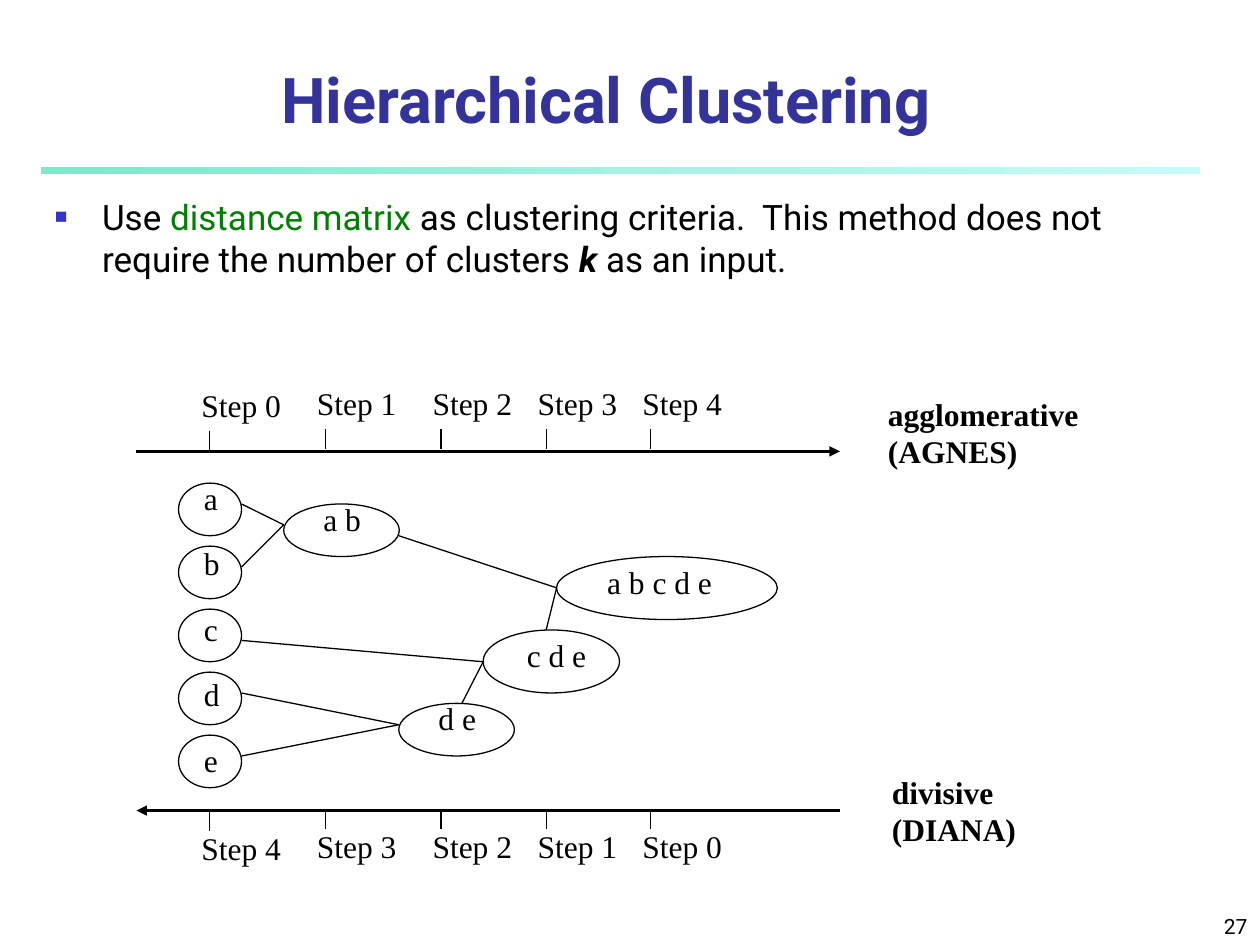
from dataclasses import dataclass
from typing import Any, NamedTuple

from lxml.etree import SubElement
from pptx import Presentation
from pptx.dml.color import RGBColor
from pptx.enum.shapes import MSO_CONNECTOR, MSO_SHAPE
from pptx.enum.text import MSO_ANCHOR, MSO_AUTO_SIZE, PP_ALIGN
from pptx.oxml.ns import qn
from pptx.util import Cm, Pt


@dataclass(frozen=True)
class Theme:
    """Hold the colours, fonts and sizes of the slide."""
    title: str = "333399"
    ink: str = "000000"
    accent: str = "008000"
    bullet: str = "3333CC"
    rule_start: str = "80E7CC"
    rule_end: str = "C5FCF7"
    sans: str = "Roboto"
    serif: str = "Times New Roman"
    title_size: float = 36
    body_size: float = 20
    label_size: float = 18
    number_size: float = 12
    thin: float = 0.75
    thick: float = 1.5


class Box(NamedTuple):
    """Place a rectangle in centimetres."""
    left: float
    top: float
    width: float
    height: float


class Cluster(NamedTuple):
    """Pair a cluster's ellipse with its label."""
    text: str
    ellipse: Box
    label: Box


class Link(NamedTuple):
    """Join two points in centimetres."""
    x1: float
    y1: float
    x2: float
    y2: float


class Axis(NamedTuple):
    """Describe one direction of clustering."""
    method: tuple[str, str]
    caption: Box
    line_y: float
    tick_y: float
    label_y: float
    arrow: str
    steps: tuple[int, ...]


THEME = Theme()
LABEL_HEIGHT = 1.02
TICKS_X = (4.23, 6.56, 8.89, 11.01, 13.12)
TICK_LENGTH = 0.42
FIRST_STEP_DROP = 0.04
AXIS_LEFT, AXIS_RIGHT = 2.75, 16.93

AXES = (
    Axis(("agglomerative", "(AGNES)"), Box(17.65, 7.83, 4.6, 1.78),
         9.1, 8.64, 7.62, "a:tailEnd", (0, 1, 2, 3, 4)),
    Axis(("divisive", "(DIANA)"), Box(17.73, 15.45, 3.2, 1.78),
         16.34, 16.3, 16.55, "a:headEnd", (4, 3, 2, 1, 0)),
)
SINGLES = tuple(
    Cluster(letter, Box(3.6, 9.74 + 1.27 * row, 1.27, 1.06),
            Box(3.86, 9.53 + 1.32 * row, 0.9, LABEL_HEIGHT))
    for row, letter in enumerate("abcde")
)
MERGED = (
    Cluster("a b", Box(5.72, 10.16, 2.33, 1.06), Box(6.27, 9.95, 1.4, LABEL_HEIGHT)),
    Cluster("d e", Box(8.04, 14.18, 2.33, 1.06), Box(8.59, 13.97, 1.4, LABEL_HEIGHT)),
    Cluster("c d e", Box(9.74, 12.7, 2.75, 1.27), Box(10.37, 12.7, 1.8, LABEL_HEIGHT)),
    Cluster("a b c d e", Box(11.22, 11.22, 4.45, 1.27), Box(11.99, 11.22, 2.8, LABEL_HEIGHT)),
)
LINKS = (
    Link(4.87, 10.16, 5.72, 10.58),
    Link(4.87, 11.43, 5.72, 10.58),
    Link(4.87, 13.97, 8.04, 14.61),
    Link(4.87, 15.24, 8.04, 14.61),
    Link(4.87, 12.91, 9.74, 13.34),
    Link(9.31, 14.18, 9.74, 13.34),
    Link(8.04, 10.8, 11.22, 11.85),
    Link(11.01, 12.7, 11.22, 11.85),
)


def apply_format(target: Any, values: dict[str, Any]) -> None:
    """Set each named attribute on the target."""
    for name, value in values.items():
        setattr(target, name, value)


def lengths(values: tuple[float, ...]) -> list[Cm]:
    """Turn centimetres into lengths."""
    return [Cm(value) for value in values]


def move(shape: Any, box: Box) -> None:
    """Move a placeholder to a box."""
    apply_format(shape, dict(zip(("left", "top", "width", "height"), lengths(box))))


def add_run(paragraph: Any, text: str, font_name: str, size: float,
            color: str = THEME.ink, bold: bool = False, italic: bool = False) -> None:
    """Add formatted text to a paragraph."""
    run = paragraph.add_run()
    run.text = text
    apply_format(run.font, {"name": font_name, "size": Pt(size), "bold": bold, "italic": italic})
    run.font.color.rgb = RGBColor.from_string(color)


def add_label(slide: Any, box: Box, lines: tuple[str, ...], bold: bool = False) -> None:
    """Add a text box of serif lines."""
    frame = slide.shapes.add_textbox(*lengths(box)).text_frame
    apply_format(frame, {"word_wrap": True, "auto_size": MSO_AUTO_SIZE.SHAPE_TO_FIT_TEXT})
    for index, line in enumerate(lines):
        paragraph = frame.add_paragraph() if index else frame.paragraphs[0]
        add_run(paragraph, line, THEME.serif, THEME.label_size, bold=bold)


def add_line(slide: Any, link: Link, width: float = THEME.thin, arrow: str = "") -> None:
    """Draw a straight line, with an arrowhead if one is named."""
    line = slide.shapes.add_connector(MSO_CONNECTOR.STRAIGHT, *lengths(link))
    line.line.width = Pt(width)
    line.line.color.rgb = RGBColor.from_string(THEME.ink)
    properties = line._element.spPr
    if arrow:
        SubElement(properties.find(qn("a:ln")), qn(arrow), type="triangle")
    SubElement(properties, qn("a:effectLst"))


def add_cluster(slide: Any, cluster: Cluster) -> None:
    """Draw a cluster's label and outline."""
    add_label(slide, cluster.label, (cluster.text,))
    ellipse = slide.shapes.add_shape(MSO_SHAPE.OVAL, *lengths(cluster.ellipse))
    ellipse.shadow.inherit = False
    ellipse.fill.background()
    ellipse.line.width = Pt(THEME.thin)
    ellipse.line.color.rgb = RGBColor.from_string(THEME.ink)


def add_axis(slide: Any, axis: Axis) -> None:
    """Draw an arrow with its steps and method name."""
    add_line(slide, Link(AXIS_LEFT, axis.line_y, AXIS_RIGHT, axis.line_y), THEME.thick, axis.arrow)
    for index, (x, step) in enumerate(zip(TICKS_X, axis.steps)):
        drop = 0 if index else FIRST_STEP_DROP
        top = axis.tick_y + drop
        add_line(slide, Link(x, top, x, top + TICK_LENGTH))
        add_label(slide, Box(x - 0.42, axis.label_y + drop, 2.12, LABEL_HEIGHT), (f"Step {step}",))
    add_label(slide, axis.caption, axis.method, bold=True)


def add_rule(slide: Any) -> None:
    """Draw the fading bar below the title."""
    rule = slide.shapes.add_shape(MSO_SHAPE.RECTANGLE, *lengths(Box(0.83, 3.37, 23.37, 0.14)))
    rule.shadow.inherit = False
    rule.line.fill.background()
    rule.fill.gradient()
    rule.fill.gradient_angle = 0
    for stop, color in zip(rule.fill.gradient_stops, (THEME.rule_start, THEME.rule_end)):
        stop.color.rgb = RGBColor.from_string(color)


def fill_title(title: Any) -> None:
    """Write the slide title."""
    move(title, Box(2.08, 1.37, 20.27, 1.22))
    frame = title.text_frame
    apply_format(frame, {"auto_size": MSO_AUTO_SIZE.NONE, "vertical_anchor": MSO_ANCHOR.MIDDLE})
    frame.paragraphs[0].alignment = PP_ALIGN.CENTER
    add_run(frame.paragraphs[0], "Hierarchical Clustering", THEME.sans, THEME.title_size,
            THEME.title, bold=True)


def fill_body(body: Any) -> None:
    """Write the bulleted statement."""
    move(body, Box(0.85, 3.81, 23.07, 3.38))
    body.text_frame.auto_size = MSO_AUTO_SIZE.NONE
    paragraph = body.text_frame.paragraphs[0]
    paragraph.space_before = Pt(0)
    properties = paragraph._p.get_or_add_pPr()
    apply_format(properties, {"marL": Cm(0.95), "indent": Cm(-0.95)})
    SubElement(SubElement(properties, qn("a:buClr")), qn("a:srgbClr"), val=THEME.bullet)
    SubElement(properties, qn("a:buSzPct"), val="60000")
    SubElement(properties, qn("a:buChar"), char="■")
    for text, values in (
        ("Use ", {}),
        ("distance matrix ", {"color": THEME.accent}),
        ("as clustering criteria.  This method does not require the number of clusters ", {}),
        ("k", {"bold": True, "italic": True}),
        (" as an input.", {}),
    ):
        add_run(paragraph, text, THEME.sans, THEME.body_size, **values)


def add_number(slide: Any) -> None:
    """Write the slide number in the corner."""
    frame = slide.shapes.add_textbox(*lengths(Box(20.12, 17.99, 5.28, 1.06))).text_frame
    apply_format(frame, {"word_wrap": True, "vertical_anchor": MSO_ANCHOR.BOTTOM})
    frame.paragraphs[0].alignment = PP_ALIGN.RIGHT
    add_run(frame.paragraphs[0], "27", THEME.sans, THEME.number_size)


def main() -> None:
    """Build and save the slide."""
    presentation = Presentation()
    apply_format(presentation, {"slide_width": Cm(25.4), "slide_height": Cm(19.05)})
    slide = presentation.slides.add_slide(presentation.slide_layouts[1])
    add_rule(slide)
    fill_title(slide.shapes.title)
    fill_body(slide.placeholders[1])
    for axis in AXES:
        add_axis(slide, axis)
    for cluster in SINGLES + MERGED:
        add_cluster(slide, cluster)
    for link in LINKS:
        add_line(slide, link)
    add_number(slide)
    presentation.save("out.pptx")


if __name__ == "__main__":
    main()
